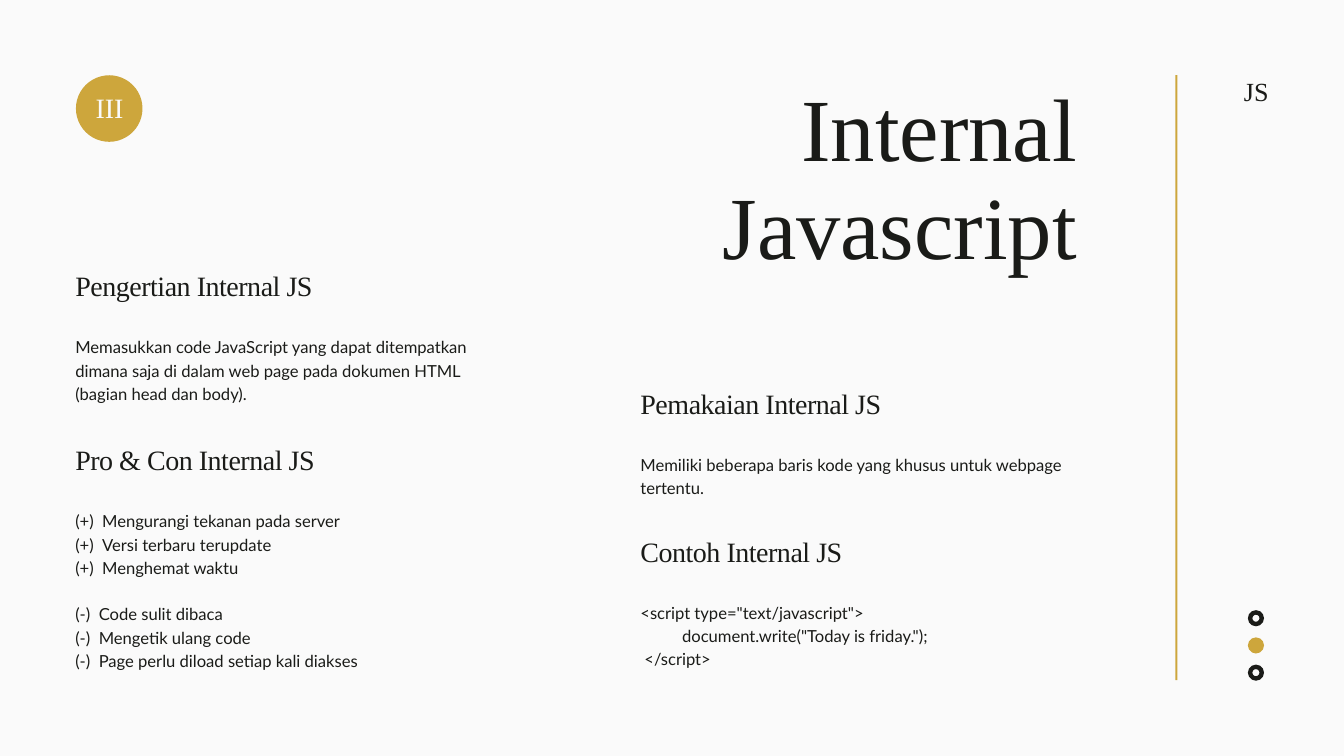
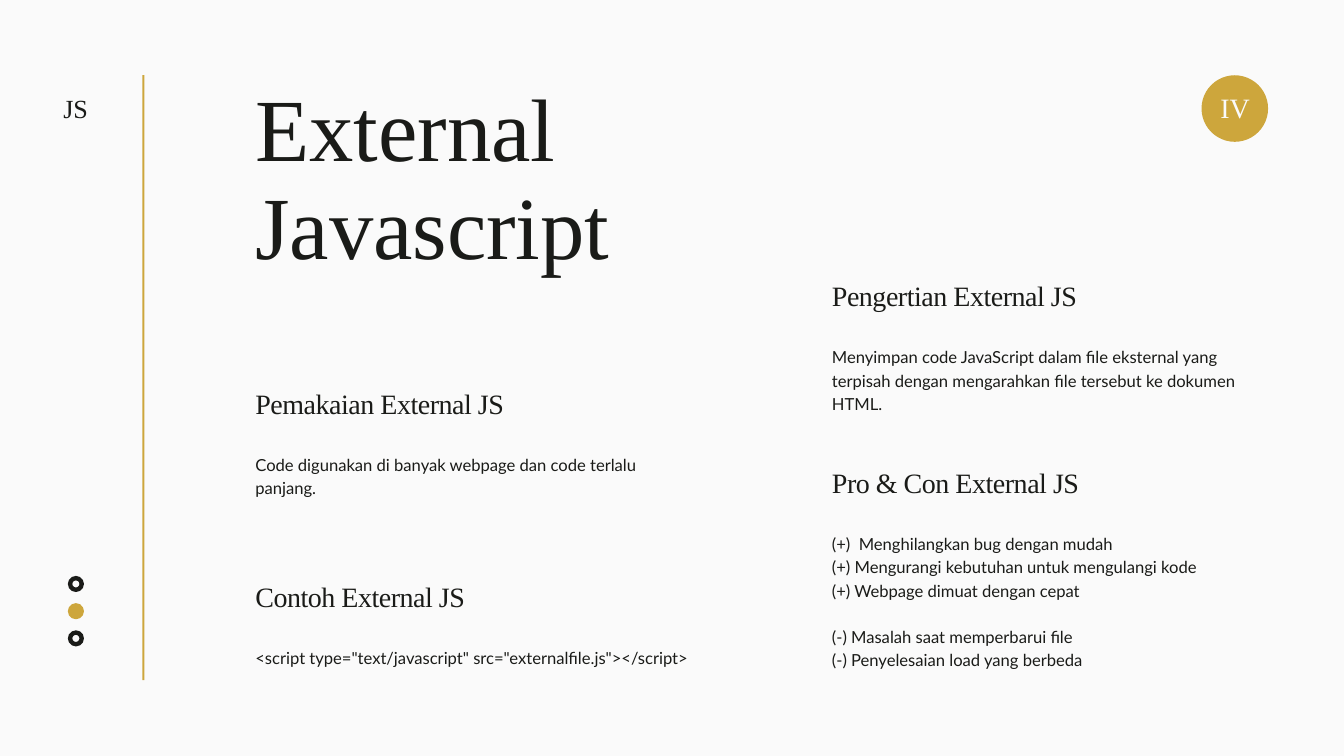
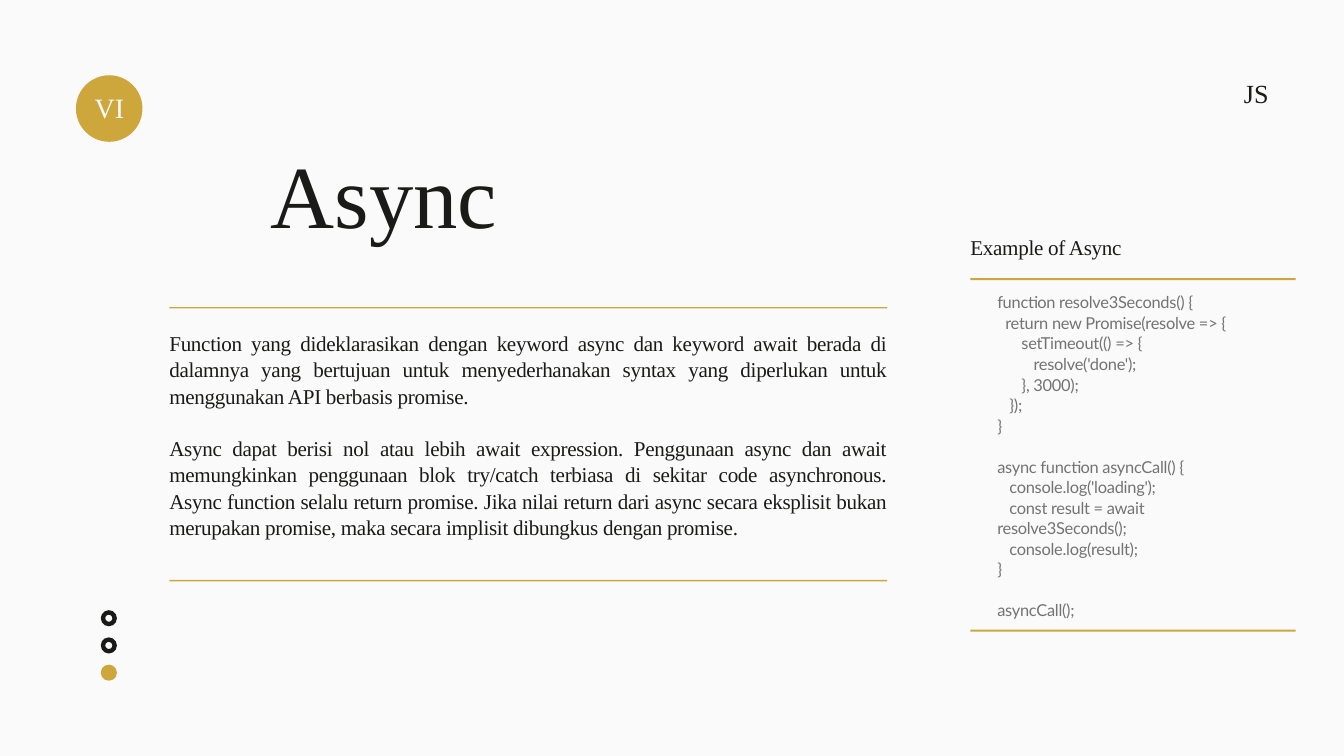
from dataclasses import dataclass

from pptx import Presentation
from pptx.dml.color import RGBColor
from pptx.enum.shapes import MSO_SHAPE as Preset
from pptx.enum.text import MSO_AUTO_SIZE as AutoSize, PP_ALIGN as Align
from pptx.util import Inches, Pt

GOLD, INK, PAPER, GREY = "CDA63C", "1A1B18", "FAFAFA", "737373"
SERIF, SANS = "Times New Roman", "Lato"


def rgb(value):
    return RGBColor.from_string(value)


@dataclass
class Style:
    font: str
    size: float
    leading: float
    color: str = INK
    spacing: float = 0
    align: Align = Align.LEFT


@dataclass
class Line:
    text: str
    marker: str = ""
    hang: float = 0
    first: float = 0
    gap: bool = False


TITLE = Style(SERIF, 95, 104.5)
TITLE_RIGHT = Style(SERIF, 95, 104.5, align=Align.RIGHT)
TITLE_JUSTIFIED = Style(SERIF, 95, 104.5, align=Align.JUSTIFY)
HEADING = Style(SERIF, 30, 37.5, spacing=-0.5)
BODY = Style(SANS, 17.8, 24.9)
NUMERAL = Style(SERIF, 30, 33, PAPER, align=Align.CENTER)
TAG = Style(SERIF, 28, 30.8, align=Align.CENTER)
PROSE = Style(SERIF, 22.6, 28.2, spacing=-0.3, align=Align.JUSTIFY)
CAPTION = Style(SERIF, 22.6, 28.2, spacing=-0.3)
CODE = Style(SANS, 17.6, 22, GREY, -0.3)


class Deck:
    def __init__(self):
        self.show = Presentation()
        self.show.slide_width = Inches(20)
        self.show.slide_height = Inches(11.25)
        self.slide = None

    def new_slide(self):
        self.slide = self.show.slides.add_slide(self.show.slide_layouts[6])
        background = self.slide.background.fill
        background.solid()
        background.fore_color.rgb = rgb(PAPER)

    def shape(self, preset, left, top, width, height, color=GOLD):
        figure = self.slide.shapes.add_shape(
            preset, Inches(left), Inches(top), Inches(width), Inches(height))
        figure.shadow.inherit = False
        figure.fill.solid()
        figure.fill.fore_color.rgb = rgb(color)
        figure.line.fill.background()
        return figure

    def rule(self, left, top, width, height):
        self.shape(Preset.RECTANGLE, left, top, width, height)

    def text(self, left, top, width, height, style, *lines):
        frame = self.slide.shapes.add_textbox(
            Inches(left), Inches(top), Inches(width), Inches(height)).text_frame
        frame.margin_left = frame.margin_right = 0
        frame.margin_top = frame.margin_bottom = 0
        frame.word_wrap = True
        frame.auto_size = AutoSize.SHAPE_TO_FIT_TEXT
        for index, line in enumerate(lines):
            if isinstance(line, str):
                line = Line(line)
            paragraph = frame.add_paragraph() if index else frame.paragraphs[0]
            paragraph.alignment = style.align
            paragraph.line_spacing = Pt(style.leading)
            if line.gap:
                paragraph.space_before = Pt(style.leading)
            if line.hang or line.first:
                properties = paragraph._p.get_or_add_pPr()
                properties.set("marL", str(Inches(line.hang)))
                properties.set("indent", str(Inches(line.first - line.hang)))
            run = paragraph.add_run()
            run.text = f"{line.marker}\t{line.text}" if line.marker else line.text
            run.font.name = style.font
            run.font.size = Pt(style.size)
            run.font.color.rgb = rgb(style.color)
            if style.spacing:
                run.font._element.set("spc", str(round(style.spacing * 100)))

    def section(self, left, top, heading, rows, *lines, width=6.49):
        self.text(left, top, width, 0.51, HEADING, heading)
        self.text(left, top + 0.99, width, rows * BODY.leading / 72, BODY, *lines)

    def badge(self, left, numeral):
        self.shape(Preset.OVAL, left, 1.12, 0.99, 0.99)
        self.text(left + 0.13, 1.39, 0.74, 0.48, NUMERAL, numeral)

    def tag(self, left, top):
        self.text(left, top, 0.89, 0.43, TAG, "JS")

    def dots(self, left, top, active):
        for index in range(3):
            y = top + index * 0.81 / 2
            if index == active:
                self.shape(Preset.OVAL, left, y, 0.24, 0.24)
            else:
                ring = self.shape(Preset.DONUT, left, y, 0.24, 0.24, INK)
                ring.adjustments[0] = 0.28


def internal_slide(deck):
    deck.new_slide()
    deck.badge(1.13, "III")
    deck.rule(17.49, 1.12, 0.03, 9)
    deck.tag(18.25, 1.16)
    deck.dots(18.57, 9.08, 1)
    deck.text(8.4, 1.22, 7.63, 2.93, TITLE_RIGHT, "Internal Javascript")
    deck.section(
        1.12, 3.98, "Pengertian Internal JS", 3,
        "Memasukkan code JavaScript yang dapat ditempatkan dimana saja di dalam "
        "web page pada dokumen HTML (bagian head dan body).")
    deck.section(
        1.12, 6.57, "Pro & Con Internal JS", 7,
        Line("Mengurangi tekanan pada server", "(+)", 0.4),
        Line("Versi terbaru terupdate", "(+)", 0.4),
        Line("Menghemat waktu", "(+)", 0.4),
        Line("Code sulit dibaca", "(-)", 0.35, gap=True),
        Line("Mengetik ulang code", "(-)", 0.35),
        Line("Page perlu diload setiap kali diakses", "(-)", 0.35))
    deck.section(
        9.53, 5.73, "Pemakaian Internal JS", 2,
        "Memiliki beberapa baris kode yang khusus untuk webpage tertentu.")
    deck.section(
        9.53, 7.93, "Contoh Internal JS", 3,
        '<script type="text/javascript">',
        Line('document.write("Today is friday.");', first=0.62),
        Line("</script>", first=0.06))


def external_slide(deck):
    deck.new_slide()
    deck.badge(17.88, "IV")
    deck.dots(1.01, 8.57, 1)
    deck.text(3.8, 1.22, 7.63, 2.93, TITLE_JUSTIFIED, "External Javascript")
    deck.rule(2.12, 1.12, 0.03, 9)
    deck.tag(0.68, 1.42)
    deck.section(
        12.38, 4.13, "Pengertian External JS", 3,
        "Menyimpan code JavaScript dalam file eksternal yang terpisah dengan "
        "mengarahkan file tersebut ke dokumen HTML.")
    deck.section(
        12.38, 6.91, "Pro & Con External JS", 6,
        Line("Menghilangkan bug dengan mudah", "(+)", 0.4),
        "(+) Mengurangi kebutuhan untuk mengulangi kode",
        "(+) Webpage dimuat dengan cepat",
        Line("(-) Masalah saat memperbarui file", gap=True),
        "(-) Penyelesaian load yang berbeda")
    deck.section(
        3.8, 5.73, "Pemakaian External JS", 2,
        "Code digunakan di banyak webpage dan code terlalu panjang.")
    deck.section(
        3.8, 8.61, "Contoh External JS", 1,
        '<script type="text/javascript" src="externalfile.js"></script>', width=6.92)


def async_slide(deck):
    deck.new_slide()
    deck.text(4.03, 2.21, 12.84, 1.48, TITLE, "Async")
    deck.badge(1.13, "VI")
    deck.dots(1.5, 9.08, 2)
    deck.tag(18.25, 1.19)
    for top in (4.57, 8.63):
        deck.rule(2.52, top, 10.68, 0.02)
    deck.text(
        2.52, 4.9, 10.68, 3.47, PROSE,
        "Function yang dideklarasikan dengan keyword async dan keyword await berada "
        "di dalamnya yang bertujuan untuk menyederhanakan syntax yang diperlukan "
        "untuk menggunakan API berbasis promise.",
        Line("Async dapat berisi nol atau lebih await expression. Penggunaan async dan "
             "await memungkinkan penggunaan blok try/catch terbiasa di sekitar code "
             "asynchronous. Async function selalu return promise. Jika nilai return "
             "dari async secara eksplisit bukan merupakan promise, maka secara "
             "implisit dibungkus dengan promise.", gap=True))
    deck.text(14.44, 3.48, 4.84, 0.39, CAPTION, "Example of Async")
    for top in (4.14, 9.37):
        deck.rule(14.44, top, 4.84, 0.03)
    deck.text(
        14.84, 4.34, 4.05, 4.86, CODE,
        "function resolve3Seconds() {",
        Line("return new Promise(resolve => {", first=0.12),
        Line("setTimeout(() => {", first=0.36),
        Line("resolve('done');", first=0.54),
        Line("}, 3000);", first=0.36),
        Line("});", first=0.18),
        "}",
        Line("async function asyncCall() {", gap=True),
        Line("console.log('loading');", first=0.18),
        Line("const result = await resolve3Seconds();", first=0.18),
        Line("console.log(result);", first=0.18),
        "}",
        Line("asyncCall();", gap=True))


def main():
    deck = Deck()
    internal_slide(deck)
    external_slide(deck)
    async_slide(deck)
    deck.show.save("out.pptx")


if __name__ == "__main__":
    main()
